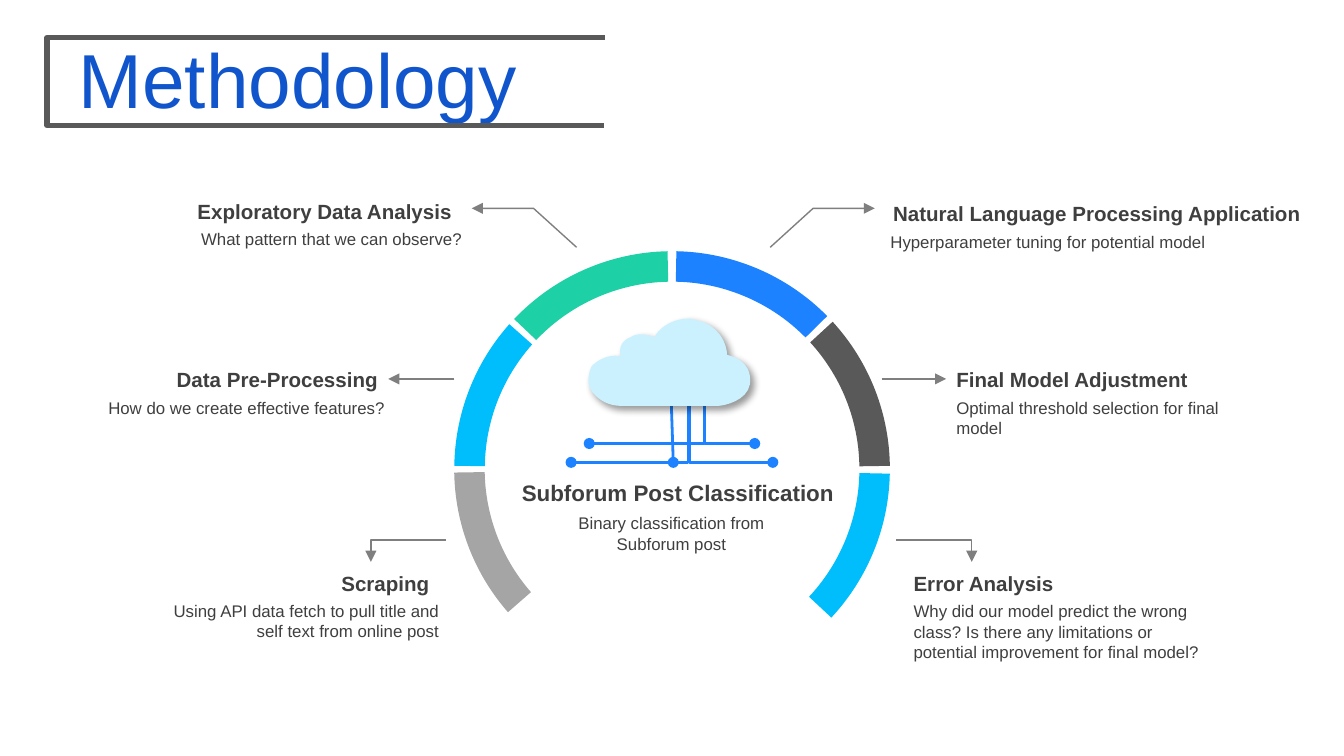
from lxml.etree import SubElement
from pptx import Presentation
from pptx.dml.color import RGBColor
from pptx.enum.shapes import MSO_CONNECTOR as LINK, MSO_SHAPE as SHAPE
from pptx.enum.text import MSO_ANCHOR as ANCHOR, MSO_AUTO_SIZE as SIZE, PP_ALIGN as ALIGN
from pptx.oxml.ns import qn
from pptx.util import Pt

BLUE = RGBColor(0x1C, 0x82, 0xFF)
CYAN = RGBColor(0x00, 0xBD, 0xFB)
GREEN = RGBColor(0x1E, 0xD0, 0xA6)
DARK = RGBColor(0x59, 0x59, 0x59)
SILVER = RGBColor(0xA5, 0xA5, 0xA5)
GREY = RGBColor(0x7F, 0x7F, 0x7F)
INK = RGBColor(0x3F, 0x3F, 0x3F)
PALE = RGBColor(0xCB, 0xF1, 0xFF)
NAVY = RGBColor(0x11, 0x55, 0xCC)

deck = Presentation()
deck.slide_width, deck.slide_height = Pt(720), Pt(405)
slide = deck.slides.add_slide(deck.slide_layouts[5])
shapes = slide.shapes


def stroke(shape, color, width, tip=None):
    """Style a line, give it an end mark and take off its shadow."""
    shape.line.color.rgb = color
    shape.line.width = Pt(width)
    if tip:
        SubElement(shape.get_or_add_ln(), qn("a:tailEnd"), type=tip)
    SubElement(shape.element.spPr, qn("a:effectLst"))


def trace(points, close=False):
    """Draw an unfilled outline through points."""
    spots = [(Pt(x), Pt(y)) for x, y in points]
    pen = shapes.build_freeform(*spots[0])
    pen.add_line_segments(spots[1:], close=close)
    shape = pen.convert_to_shape()
    shape.fill.background()
    return shape


# Ring: rotation, start and end in degrees
for turn, start, end, color in [
    (137.7, 223.52, 265.32, CYAN),
    (317.2, 181.66, 221.85, SILVER),
    (0, 180.82, 221.66, CYAN),
    (90, 227.5, 269.21, DARK),
    (47.6, 175.88, 221.19, GREEN),
    (47.6, 223.52, 267.81, BLUE),
]:
    arc = shapes.add_shape(SHAPE.BLOCK_ARC, Pt(243.4), Pt(134.6), Pt(233.3), Pt(233.3))
    arc.rotation = turn
    arc.adjustments[0] = start * 0.6
    arc.adjustments[1] = end * 0.6
    arc.adjustments[2] = 0.07
    arc.fill.solid()
    arc.fill.fore_color.rgb = color
    arc.line.fill.background()
    arc.shadow.inherit = False

# Step labels: left, top, width, height of heading and body
L, C, R = ALIGN.LEFT, ALIGN.CENTER, ALIGN.RIGHT
for align, size, head, headbox, body, bodybox in [
    (L, 11, "Natural Language Processing Application", (473, 105.2, 246.2, 18.7),
     "Hyperparameter tuning for potential model", (471.6, 121.2, 189.4, 16.6)),
    (L, 11, "Final Model Adjustment", (506.9, 194, 167, 18.7),
     "Optimal threshold selection for final model", (506.9, 210.2, 167, 27.4)),
    (L, 11, "Error Analysis", (484, 303, 167, 18.7),
     "Why did our model predict the wrong class? Is there any limitations or "
     "potential improvement for final model?", (484, 319.3, 167, 38.2)),
    (R, 11, "Exploratory Data Analysis", (87.8, 103.7, 159.8, 18.7),
     "What pattern that we can observe?", (87.8, 119.7, 164.9, 16.6)),
    (R, 11, "Data Pre-Processing", (48.2, 194, 159.8, 18.7),
     "How do we create effective features?", (46.4, 210.2, 164.9, 16.6)),
    (R, 11, "Scraping", (74.9, 303, 160.6, 18.7),
     "Using API data fetch to pull title and self text from online post",
     (74.9, 319, 165.6, 27.4)),
    (C, 12, "Subforum Post Classification", (267.8, 254.2, 190.8, 20),
     "Binary classification from Subforum post", (298.1, 272.2, 123.1, 27.4)),
]:
    for text, spot, points, bold in [(head, headbox, size, True), (body, bodybox, 9, False)]:
        box = shapes.add_textbox(*map(Pt, spot))
        frame = box.text_frame
        frame.word_wrap = True
        frame.auto_size = SIZE.SHAPE_TO_FIT_TEXT
        frame.margin_left = frame.margin_right = Pt(5.4)
        frame.margin_top = frame.margin_bottom = Pt(2.7)
        frame.text = text
        para = frame.paragraphs[0]
        para.alignment = align
        font = para.runs[0].font
        font.name, font.size, font.bold = "Arial", Pt(points), bold
        font.color.rgb = INK

# Arrows from ring to labels
for points in [
    [(412.6, 132.5), (435.6, 111.6), (468.7, 111.6)],
    [(308.9, 132.5), (285.8, 111.6), (252.7, 111.6)],
    [(239, 289.4), (198.7, 289.4), (198.7, 301)],
    [(480.2, 289.4), (520.6, 289.4), (520.6, 301)],
]:
    stroke(trace(points), GREY, 0.75, "triangle")
for x, end in [(472.3, 506.9), (243.4, 208)]:
    arrow = shapes.add_connector(LINK.STRAIGHT, Pt(x), Pt(203), Pt(end), Pt(203))
    stroke(arrow, GREY, 0.75, "triangle")

# Circuit wires: start, end and the x of the upright
for x, y, endx, endy, bend in [
    (377.3, 215.3, 404.3, 237.6, 377.5),
    (368, 212.4, 414, 247.7, 369.3),
    (359.3, 205.9, 360.7, 247.7, None),
    (342.7, 215.3, 315.7, 237.6, 377.1),
    (352.1, 212.4, 306, 247.7, 368.7),
]:
    kind = LINK.ELBOW if bend else LINK.STRAIGHT
    wire = shapes.add_connector(kind, Pt(x), Pt(y), Pt(endx), Pt(endy))
    if bend:
        ratio = round((bend - x) / (endx - x) * 100000)
        guides = wire.element.spPr.find(qn("a:prstGeom")).get_or_add_avLst()
        SubElement(guides, qn("a:gd"), name="adj1", fmla=f"val {ratio}")
    stroke(wire, BLUE, 1.5, "oval")

# Cloud: Bezier curves in inches, each sampled in eight steps
outline = [(5.13, 2.37)]
for b, c, d in [
    ((5.15, 2.37), (5.16, 2.38), (5.17, 2.38)),
    ((5.35, 2.41), (5.41, 2.56), (5.41, 2.64)),
    ((5.58, 2.68), (5.59, 2.8), (5.58, 2.86)),
    ((5.56, 2.98), (5.39, 3.02), (5.34, 3.02)),
    ((5.34, 3.02), (4.62, 3.02), (4.62, 3.02)),
    ((4.53, 3.02), (4.46, 2.98), (4.41, 2.92)),
    ((4.36, 2.86), (4.38, 2.78), (4.4, 2.73)),
    ((4.42, 2.7), (4.51, 2.63), (4.62, 2.65)),
    ((4.6, 2.59), (4.63, 2.53), (4.69, 2.51)),
    ((4.75, 2.47), (4.82, 2.49), (4.87, 2.51)),
    ((4.89, 2.46), (4.98, 2.37), (5.13, 2.37)),
]:
    a = outline[-1]
    for t in [step / 8 for step in range(1, 9)]:
        s = 1 - t
        outline.append(tuple(
            s**3 * a[i] + 3 * s * s * t * b[i] + 3 * s * t * t * c[i] + t**3 * d[i]
            for i in (0, 1)))
cloud = trace([(x * 72, y * 72) for x, y in outline], close=True)
cloud.fill.solid()
cloud.fill.fore_color.rgb = PALE
cloud.line.fill.background()
effect = SubElement(cloud.element.spPr, qn("a:effectLst"))
shade = SubElement(effect, qn("a:outerShdw"), blurRad=str(Pt(4)), dist=str(Pt(3)),
                   dir="2700000", algn="tl", rotWithShape="0")
tint = SubElement(shade, qn("a:srgbClr"), val="000000")
SubElement(tint, qn("a:alpha"), val="40000")

# Title and its open frame
title = shapes.title
title.left, title.top, title.width, title.height = Pt(36.7), Pt(20.2), Pt(388), Pt(42.5)
frame = title.text_frame
frame.text = "Methodology"
frame.word_wrap = True
frame.auto_size = SIZE.NONE
frame.vertical_anchor = ANCHOR.TOP
frame.margin_left = frame.margin_right = Pt(5.4)
frame.margin_top = frame.margin_bottom = Pt(2.7)
para = frame.paragraphs[0]
para.alignment = ALIGN.LEFT
para.line_spacing = 0.9
font = para.runs[0].font
font.name, font.size = "Arial", Pt(41)
font.color.rgb = NAVY
border = trace([(324, 20.2), (25.2, 20.2), (25.2, 67.2), (323.5, 67.2)])
stroke(border, DARK, 3)

deck.save("out.pptx")
